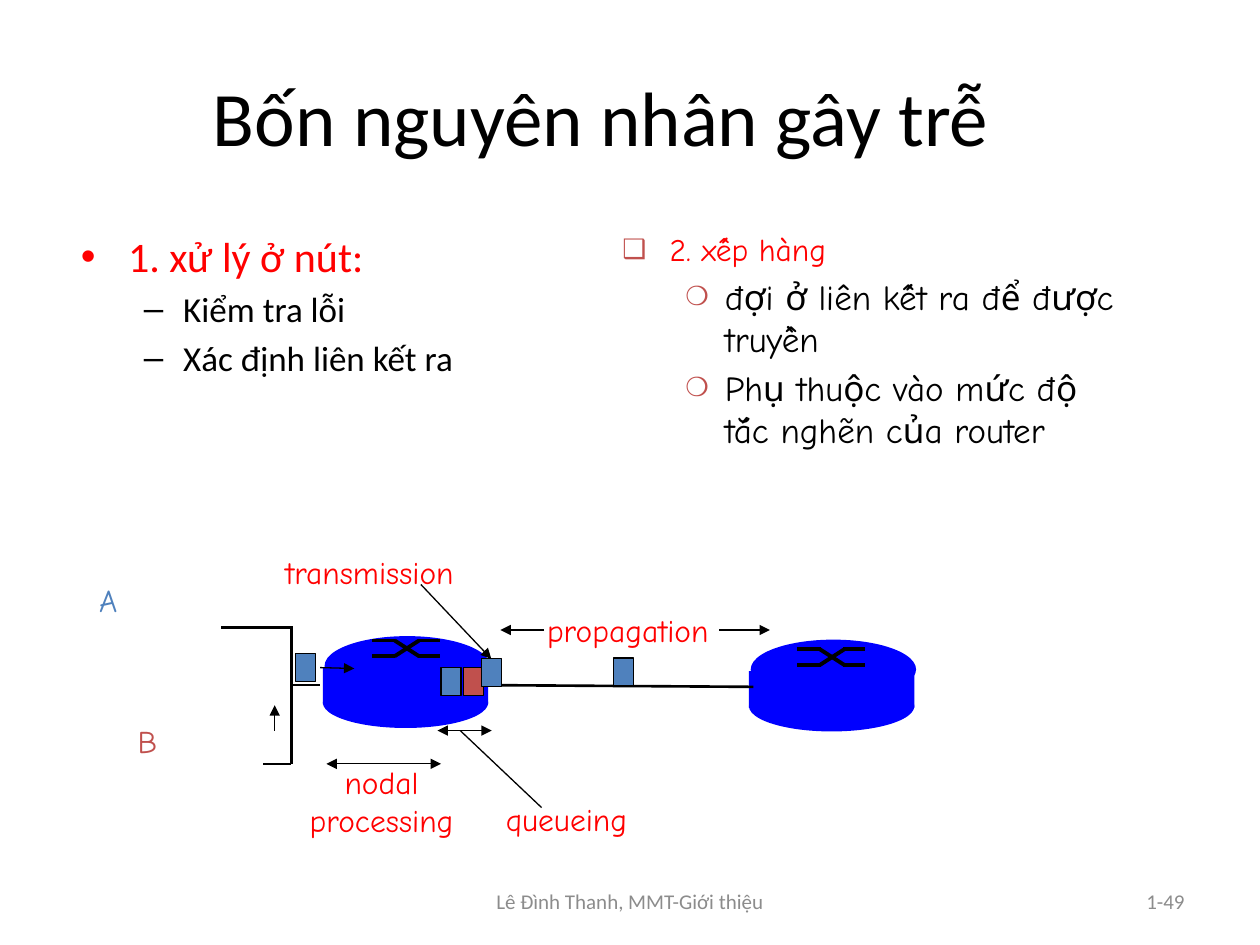
"""Build the slide on the four causes of packet delay."""
from lxml import etree
from pptx import Presentation
from pptx.dml.color import RGBColor
from pptx.enum import shapes as es, text as et
from pptx.oxml import ns
from pptx.util import Pt

RED = RGBColor(0xFF, 0x00, 0x00)
BLACK = RGBColor(0x00, 0x00, 0x00)
GRAY = RGBColor(0x8C, 0x8C, 0x8C)
NAVY = RGBColor(0x00, 0x00, 0xFF)
BLUE = RGBColor(0x4F, 0x81, 0xBD)
BRICK = RGBColor(0xC0, 0x50, 0x4D)
SANS, HAND = "Calibri", "Comic Neue"
LEFT, MID, RIGHT = et.PP_ALIGN.LEFT, et.PP_ALIGN.CENTER, et.PP_ALIGN.RIGHT
RECT, OVAL = es.MSO_SHAPE.RECTANGLE, es.MSO_SHAPE.OVAL


def style(par, size, face, tint):
    """Set the font of a paragraph."""
    font = par.font
    font.size, font.name = Pt(size), face
    font.color.rgb = tint


def place(shape, x, y, w, h):
    """Move and size a shape."""
    shape.left, shape.top, shape.width, shape.height = Pt(x), Pt(y), Pt(w), Pt(h)


def bullet(par, sign, tint, scale, left, hang):
    """Give a paragraph a hanging bullet."""
    props = par._p.get_or_add_pPr()
    props.set("marL", str(Pt(left)))
    props.set("indent", str(-Pt(hang)))
    color = etree.SubElement(props, ns.qn("a:buClr"))
    etree.SubElement(color, ns.qn("a:srgbClr"), val=str(tint))
    etree.SubElement(props, ns.qn("a:buSzPct"), val=str(scale * 1000))
    etree.SubElement(props, ns.qn("a:buFont"), typeface="Arial")
    etree.SubElement(props, ns.qn("a:buChar"), char=sign)


def fill_list(holder, box, head, items, face, size, signs, tints, scales):
    """Fill a body placeholder with a heading and its points."""
    place(holder, *box)
    frame = holder.text_frame
    frame.auto_size = et.MSO_AUTO_SIZE.NONE
    first = frame.paragraphs[0]
    first.text = head
    bullet(first, signs[0], tints[0], scales[0], 27, 27)
    first.space_before = Pt(0)
    style(first, size, face, RED)
    for item in items:
        par = frame.add_paragraph()
        par.text, par.level = item, 1
        bullet(par, signs[1], tints[1], scales[1], 58.5, 22.5)
        style(par, 20, face, BLACK)


def label(slide, box, words, tint=RED, align=LEFT):
    """Add a handwritten label, one paragraph a line."""
    shape = slide.shapes.add_textbox(*map(Pt, box))
    frame = shape.text_frame
    frame.word_wrap = False
    frame.auto_size = et.MSO_AUTO_SIZE.SHAPE_TO_FIT_TEXT
    frame.text = words
    for par in frame.paragraphs:
        par.alignment = align
        style(par, 18, HAND, tint)


def footer(slide, box, words, align):
    """Add a gray line of footer text."""
    frame = slide.shapes.add_textbox(*map(Pt, box)).text_frame
    frame.word_wrap = True
    frame.vertical_anchor = et.MSO_ANCHOR.MIDDLE
    frame.text = words
    par = frame.paragraphs[0]
    par.alignment = align
    style(par, 12, SANS, GRAY)


def block(slide, kind, box, tint, edge=None):
    """Add a filled shape, with a black outline if an edge is given."""
    shape = slide.shapes.add_shape(kind, *map(Pt, box))
    shape.shadow.inherit = False
    shape.fill.solid()
    shape.fill.fore_color.rgb = tint
    if edge:
        shape.line.color.rgb = BLACK
        shape.line.width = Pt(edge)
    else:
        shape.line.fill.background()
    return shape


def line(slide, ends, width, heads=()):
    """Add a black line with arrowheads at the named ends."""
    link = slide.shapes.add_connector(es.MSO_CONNECTOR.STRAIGHT, *map(Pt, ends))
    link.line.color.rgb = BLACK
    link.line.width = Pt(width)
    pen = link.line._get_or_add_ln()
    for end in heads:
        etree.SubElement(pen, ns.qn(f"a:{end}End"), type="triangle")
    etree.SubElement(link._element.spPr, ns.qn("a:effectLst"))
    return link


def router(slide, x, y):
    """Add the drum of a router."""
    block(slide, OVAL, (x, y + 23.5, 94.5, 29), NAVY)
    block(slide, RECT, (x, y + 18, 94.5, 21), NAVY)
    block(slide, OVAL, (x + 1, y, 94.5, 34), NAVY)


def cross(slide, x, y):
    """Add the crossed paths on top of a router."""
    for a, b in ((y, y + 9), (y + 9, y)):
        line(slide, (x, a, x + 13.5, a), 2.25)
        line(slide, (x + 13, a, x + 27, b), 2.25)
        line(slide, (x + 26.5, b, x + 39, b), 2.25)


def packet(slide, x, y, tint=BLUE):
    """Add a packet."""
    return block(slide, RECT, (x, y, 11.5, 16), tint, 0.75)


def draw(slide):
    """Draw the path of the packets."""
    router(slide, 184.5, 363.5)
    cross(slide, 212.5, 366)
    line(slide, (428.5, 386.5, 428.5, 404.5), 1)
    router(slide, 428, 365.5)
    cross(slide, 455.5, 371)
    for ends in ((126.5, 358.5, 166.5, 358.5), (150.5, 436.5, 166.5, 436.5),
                 (278, 391.5, 430.5, 392.5), (166.5, 358, 166.5, 436.5),
                 (167, 391.5, 183, 391.5)):
        line(slide, ends, 1.5)
    packet(slide, 350.5, 376)
    packet(slide, 252, 381.5)
    packet(slide, 265, 381.5, BRICK)
    packet(slide, 169, 373.5)
    sent = packet(slide, 275, 376.5)
    for ends in ((183, 381.5, 202.5, 382), (157, 417.5, 157, 403),
                 (411, 360, 440, 360), (311, 360, 286, 360)):
        line(slide, ends, 0.75, ["tail"])
    line(slide, (240.5, 334, 281, 376.5), 0.75, ["tail"]).end_connect(sent, 0)
    for ends in ((252, 436.5, 186.5, 436.5), (281, 417.5, 250, 417.5)):
        line(slide, ends, 0.75, ["head", "tail"])
    line(slide, (309.5, 461.5, 263, 417.5), 0.75)
    label(slide, (49.5, 328.5, 31.5, 36), "A", BLUE)
    label(slide, (71.5, 409, 29.5, 36), "B", BRICK)
    label(slide, (305.5, 345.5, 112.5, 29), "propagation")
    label(slide, (156, 312.5, 119.5, 29), "transmission")
    label(slide, (166.5, 432.5, 103, 50.5), "nodal\nprocessing", RED, MID)
    label(slide, (282, 453.5, 86.5, 29), "queueing")


def main():
    """Build and save the slide."""
    deck = Presentation()
    deck.slide_width, deck.slide_height = Pt(720), Pt(540)
    slide = deck.slides.add_slide(deck.slide_layouts[3])
    title, left, right = slide.placeholders
    place(title, 37.5, 21, 612, 90)
    title.text_frame.text = "Bốn nguyên nhân gây trễ"
    par = title.text_frame.paragraphs[0]
    par.alignment = MID
    style(par, 44, SANS, BLACK)
    fill_list(left, (39, 128, 300, 106), "1. xử lý ở nút:",
              ["Kiểm tra lỗi", "Xác định liên kết ra"],
              SANS, 24, "•–", (RED, BLACK), (100, 100))
    fill_list(right, (348.5, 128, 300, 155.5), "2. xếp hàng",
              ["đợi ở liên kết ra để được truyền",
               "Phụ thuộc vào mức độ tắc nghẽn của router"],
              HAND, 18, "❑❍", (BRICK, BRICK), (85, 75))
    draw(slide)
    footer(slide, (246, 500.5, 228, 29), "Lê Đình Thanh, MMT-Giới thiệu", MID)
    footer(slide, (516, 500.5, 168, 29), "1-49", RIGHT)
    deck.save("out.pptx")


if __name__ == "__main__":
    main()
